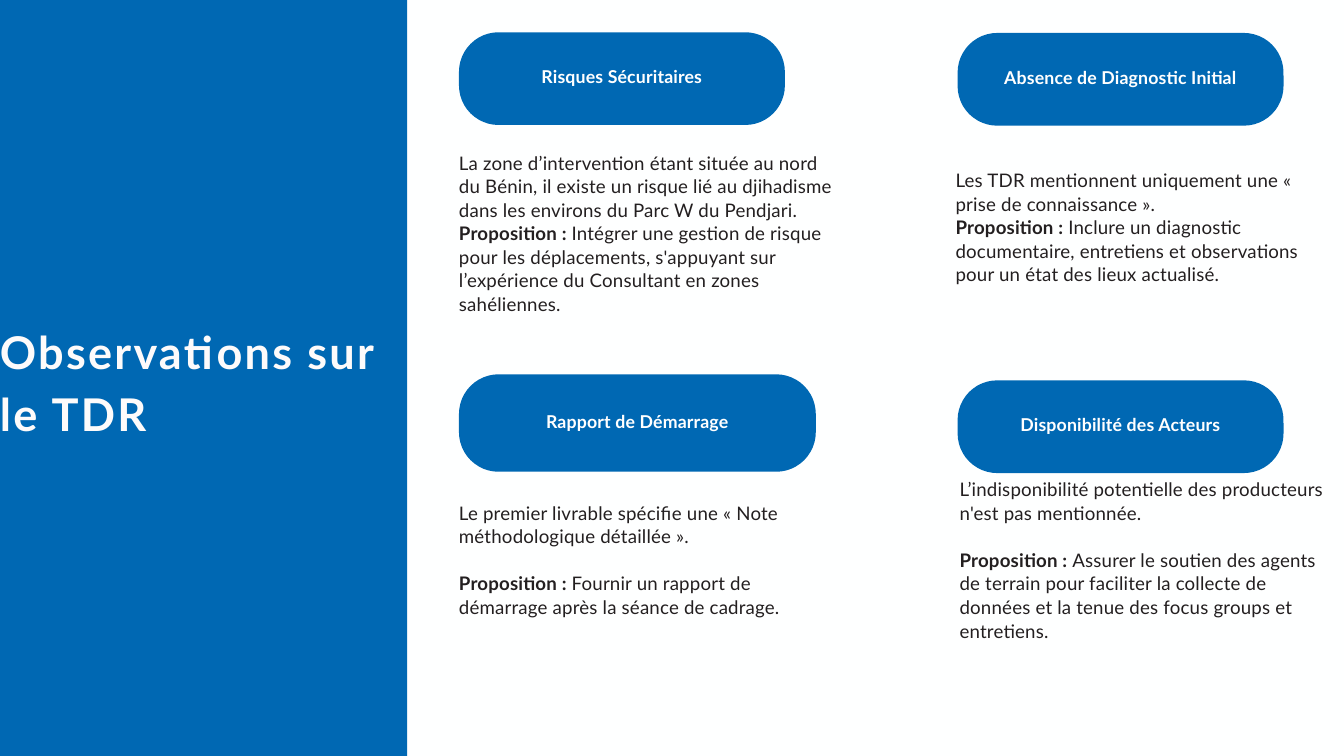
from dataclasses import dataclass

import pptx
import pptx.dml.color
import pptx.enum.shapes
import pptx.enum.text
import pptx.presentation
import pptx.shapes.autoshape
import pptx.slide
import pptx.text.text
import pptx.util

PX = 9144  # EMU per px, 100 px to the inch
FONT = "Lato"
BLUE = pptx.dml.color.RGBColor(0x00, 0x68, 0xB3)
WHITE = pptx.dml.color.RGBColor(0xFF, 0xFF, 0xFF)
TITLE_WHITE = pptx.dml.color.RGBColor(0xFD, 0xFB, 0xFB)
INK = pptx.dml.color.RGBColor(0x23, 0x1F, 0x20)
PAPER = pptx.dml.color.RGBColor(0xFE, 0xFF, 0xFF)

PANEL_WIDTH = 606
CORNER = 59
BODY_WIDTH = 556
BODY_LEADING = 25.2


@dataclass(frozen=True)
class Box:
    left: int
    top: int
    width: int
    height: int

    def emu(self) -> tuple[int, int, int, int]:
        return self.left * PX, self.top * PX, self.width * PX, self.height * PX


@dataclass(frozen=True)
class Observation:
    heading: str
    finding: str
    proposal: str
    pill: Box
    body: Box
    spaced: bool = False  # a blank line's height before the proposal


OBSERVATIONS = [
    Observation(
        "Risques Sécuritaires",
        "La zone d’intervention étant située au nord du Bénin, il existe un risque "
        "lié au djihadisme dans les environs du Parc W du Pendjari.",
        "Intégrer une gestion de risque pour les déplacements, s'appuyant sur "
        "l’expérience du Consultant en zones sahéliennes.",
        Box(683, 48, 485, 138),
        Box(683, 224, BODY_WIDTH, 279),
    ),
    Observation(
        "Absence de Diagnostic Initial",
        "Les TDR mentionnent uniquement une « prise de connaissance ».",
        "Inclure un diagnostic documentaire, entretiens et observations pour un "
        "état des lieux actualisé.",
        Box(1425, 49, 485, 138),
        Box(1422, 250, BODY_WIDTH, 174),
    ),
    Observation(
        "Rapport de Démarrage",
        "Le premier livrable spécifie une « Note méthodologique détaillée ».",
        "Fournir un rapport de démarrage après la séance de cadrage.",
        Box(683, 557, 531, 145),
        Box(683, 745, BODY_WIDTH, 209),
        spaced=True,
    ),
    Observation(
        "Disponibilité des Acteurs",
        "L’indisponibilité potentielle des producteurs n'est pas mentionnée.",
        "Assurer le soutien des agents de terrain pour faciliter la collecte de "
        "données et la tenue des focus groups et entretiens.",
        Box(1425, 566, 485, 138),
        Box(1428, 710, BODY_WIDTH, 244),
        spaced=True,
    ),
]


def style_paragraph(
    paragraph: pptx.text.text._Paragraph,
    size: float,
    leading: float,
    color: pptx.dml.color.RGBColor,
    tracking: float = 0.2,
    bold: bool | None = None,
) -> None:
    """Set the font, the exact line spacing and the letter spacing, in points."""
    paragraph.line_spacing = pptx.util.Pt(leading)
    font = paragraph.font
    font.name = FONT
    font.size = pptx.util.Pt(size)
    font.bold = bold
    font.color.rgb = color
    character_defaults = paragraph._p.get_or_add_pPr().get_or_add_defRPr()
    character_defaults.set("spc", str(round(tracking * 100)))


def set_margins(frame: pptx.text.text.TextFrame, side: int, bottom: int) -> None:
    frame.margin_left = frame.margin_right = frame.margin_top = side * PX
    frame.margin_bottom = bottom * PX


def add_blue_shape(
    slide: pptx.slide.Slide, kind: pptx.enum.shapes.MSO_SHAPE, box: Box
) -> pptx.shapes.autoshape.Shape:
    shape = slide.shapes.add_shape(kind, *box.emu())
    shape.shadow.inherit = False
    shape.fill.solid()
    shape.fill.fore_color.rgb = BLUE
    shape.line.fill.background()
    return shape


def add_text_frame(slide: pptx.slide.Slide, box: Box) -> pptx.text.text.TextFrame:
    frame = slide.shapes.add_textbox(*box.emu()).text_frame
    frame.word_wrap = True
    set_margins(frame, 0, 0)
    return frame


def add_pill(slide: pptx.slide.Slide, heading: str, box: Box) -> None:
    pill = add_blue_shape(slide, pptx.enum.shapes.MSO_SHAPE.ROUNDED_RECTANGLE, box)
    pill.adjustments[0] = CORNER / box.height
    frame = pill.text_frame
    frame.word_wrap = True
    frame.vertical_anchor = pptx.enum.text.MSO_ANCHOR.MIDDLE
    set_margins(frame, 6, 17)
    paragraph = frame.paragraphs[0]
    paragraph.text = heading
    paragraph.alignment = pptx.enum.text.PP_ALIGN.CENTER
    style_paragraph(paragraph, 19, 26.6, WHITE, bold=True)


def add_observation(slide: pptx.slide.Slide, observation: Observation) -> None:
    add_pill(slide, observation.heading, observation.pill)
    frame = add_text_frame(slide, observation.body)
    finding = frame.paragraphs[0]
    finding.text = observation.finding
    proposal = frame.add_paragraph()
    label = proposal.add_run()
    label.text = "Proposition : "
    label.font.bold = True
    proposal.add_run().text = observation.proposal
    if observation.spaced:
        proposal.space_before = pptx.util.Pt(BODY_LEADING)
    for paragraph in (finding, proposal):
        style_paragraph(paragraph, 20, BODY_LEADING, INK)


def add_title_panel(slide: pptx.slide.Slide) -> None:
    panel = Box(0, 0, PANEL_WIDTH, 1125)
    add_blue_shape(slide, pptx.enum.shapes.MSO_SHAPE.RECTANGLE, panel)
    title = add_text_frame(slide, Box(0, 471, PANEL_WIDTH, 182)).paragraphs[0]
    title.text = "Observations sur le TDR"
    style_paragraph(title, 48.3, 66.7, TITLE_WHITE, tracking=2.4, bold=True)


def main() -> None:
    presentation = pptx.Presentation()
    presentation.slide_width = 2000 * PX
    presentation.slide_height = 1125 * PX
    slide = presentation.slides.add_slide(presentation.slide_layouts[6])
    slide.background.fill.solid()
    slide.background.fill.fore_color.rgb = PAPER
    add_title_panel(slide)
    for observation in OBSERVATIONS:
        add_observation(slide, observation)
    presentation.save("out.pptx")


if __name__ == "__main__":
    main()
